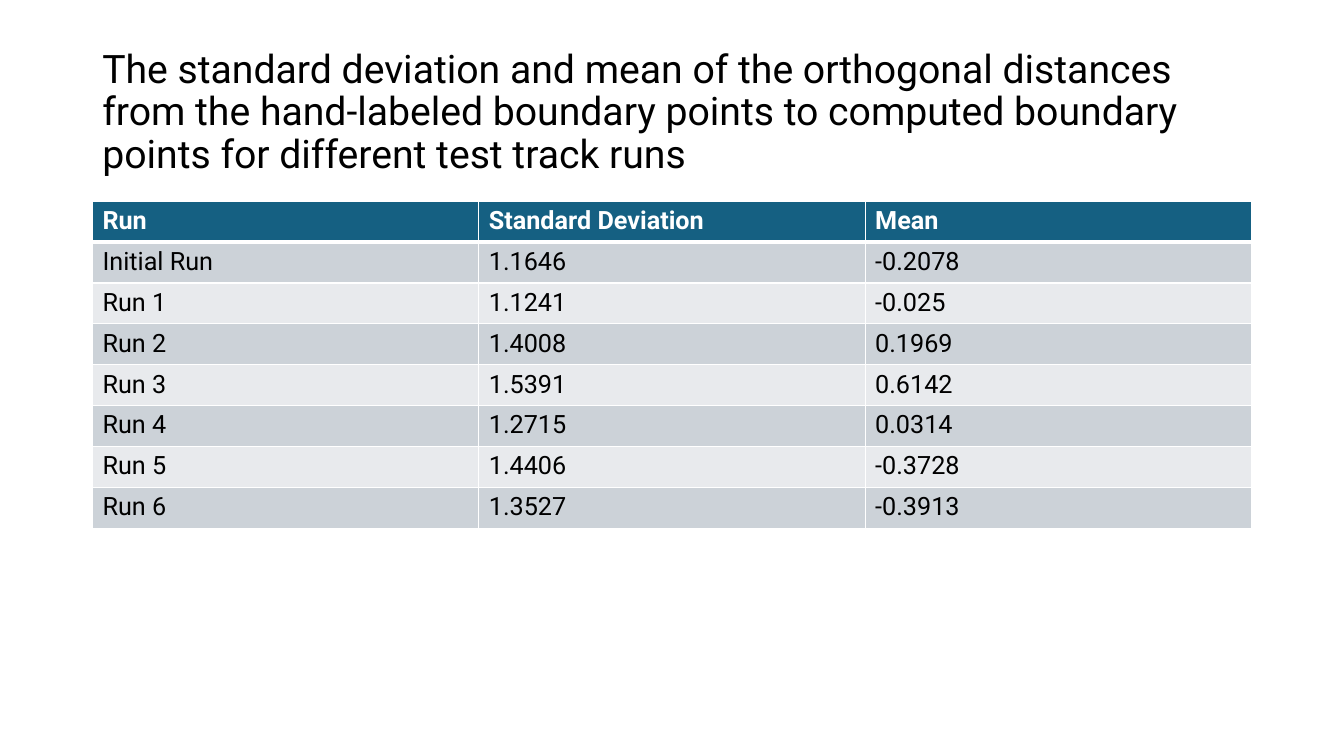
"""Build a slide with a table of boundary distance statistics per test track run."""
from lxml.etree import SubElement
from pptx import Presentation
from pptx.dml.color import RGBColor
from pptx.enum.text import MSO_ANCHOR
from pptx.oxml.ns import qn
from pptx.util import Cm, Pt

BLACK = RGBColor(0x00, 0x00, 0x00)
WHITE = RGBColor(0xFF, 0xFF, 0xFF)
HEADER_BLUE = RGBColor(0x15, 0x60, 0x82)
BAND_DARK = RGBColor(0xCC, 0xD2, 0xD8)
BAND_LIGHT = RGBColor(0xE8, 0xEA, 0xED)

TITLE = (
    "The standard deviation and mean of the orthogonal distances from the "
    "hand-labeled boundary points to computed boundary points for different "
    "test track runs"
)
ROWS = [
    ("Run", "Standard Deviation", "Mean"),
    ("Initial Run", "1.1646", "-0.2078"),
    ("Run 1", "1.1241", "-0.025"),
    ("Run 2", "1.4008", "0.1969"),
    ("Run 3", "1.5391", "0.6142"),
    ("Run 4", "1.2715", "0.0314"),
    ("Run 5", "1.4406", "-0.3728"),
    ("Run 6", "1.3527", "-0.3913"),
]


def format_text(para, text, **formats):
    span = para.add_run()
    span.text = text
    color = formats.pop("color")
    for name, value in {"name": "Roboto", **formats}.items():
        setattr(span.font, name, value)
    span.font.color.rgb = color


def add_border(cell, side, width):
    line = SubElement(cell._tc.get_or_add_tcPr(), qn(f"a:{side}"), w=str(Pt(width)))
    fill = SubElement(line, qn("a:solidFill"))
    SubElement(fill, qn("a:srgbClr"), val=str(WHITE))


deck = Presentation()
deck.slide_width, deck.slide_height = Cm(33.87), Cm(19.05)
page = deck.slides.add_slide(deck.slide_layouts[6])

title_box = page.shapes.add_textbox(Cm(2.33), Cm(1.01), Cm(29.21), Cm(3.68))
title_frame = title_box.text_frame
title_frame.word_wrap = True
title_frame.vertical_anchor = MSO_ANCHOR.MIDDLE
title_para = title_frame.paragraphs[0]
title_para.line_spacing = 0.9
format_text(title_para, TITLE, size=Pt(28), color=BLACK)

row_height = Cm(1.03)
table = page.shapes.add_table(
    len(ROWS), len(ROWS[0]), Cm(2.33), Cm(5.07), Cm(29.21), row_height * len(ROWS)
).table

for row_index, values in enumerate(ROWS):
    table.rows[row_index].height = row_height
    is_header = row_index == 0
    band = BAND_DARK if row_index % 2 else BAND_LIGHT
    borders = {
        "lnL": 1,
        "lnR": 1,
        "lnT": 3 if row_index == 1 else 1,
        "lnB": 3 if is_header else 1,
    }
    for column_index, value in enumerate(values):
        cell = table.cell(row_index, column_index)
        for side, width in borders.items():
            add_border(cell, side, width)
        cell.fill.solid()
        cell.fill.fore_color.rgb = HEADER_BLUE if is_header else band
        format_text(
            cell.text_frame.paragraphs[0],
            value,
            size=Pt(18),
            bold=is_header,
            color=WHITE if is_header else BLACK,
        )

deck.save("out.pptx")
